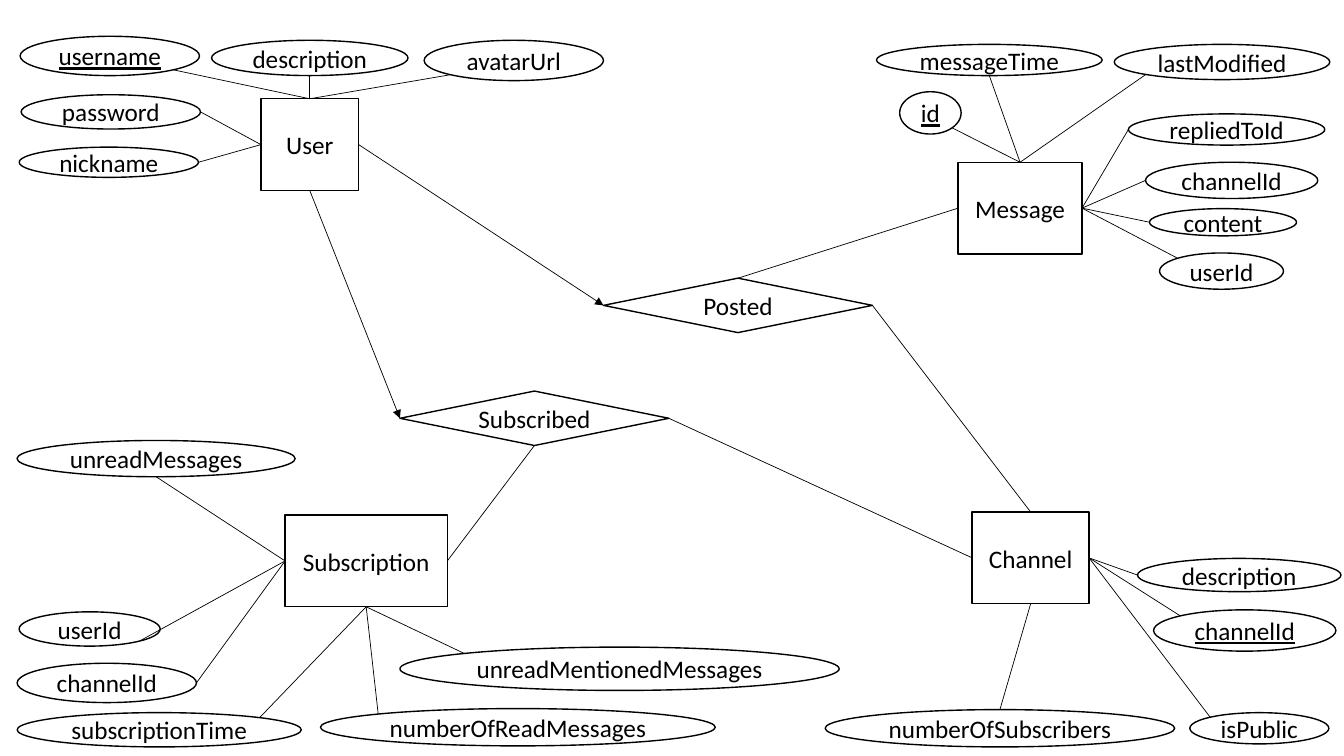
from dataclasses import dataclass

from lxml import etree
from pptx import Presentation
from pptx.dml.color import RGBColor
from pptx.enum.shapes import MSO_CONNECTOR, MSO_SHAPE
from pptx.enum.text import MSO_ANCHOR, PP_ALIGN
from pptx.oxml.ns import qn
from pptx.util import Inches, Pt

RECT, ELLIPSE, DIAMOND = MSO_SHAPE.RECTANGLE, MSO_SHAPE.OVAL, MSO_SHAPE.DIAMOND
STRAIGHT = MSO_CONNECTOR.STRAIGHT
CENTER, MIDDLE = PP_ALIGN.CENTER, MSO_ANCHOR.MIDDLE


@dataclass(frozen=True)
class Theme:
    ink: RGBColor = RGBColor(0, 0, 0)
    paper: RGBColor = RGBColor(255, 255, 255)
    font: str = "Calibri"
    size: int = 18
    outline: float = 1
    link: float = 0.5


THEME = Theme()

# Connection sites in the order the preset shapes number them
ELLIPSE_SITES = ("top", "top left", "left", "bottom left",
                 "bottom", "bottom right", "right", "top right")
FOUR_SITES = ("top", "left", "bottom", "right")
DIAGONAL = 0.5 ** 0.5

# Entity: box, then attributes as (name, side of the entity, site on the
# ellipse, offset and size from the entity's top left corner)
ENTITIES = {
    "User": ((2.59, 0.98, 0.97, 0.91), (
        ("username", "top", "bottom right", (-2.39, -0.62, 1.78, 0.39)),
        ("password", "left", "right", (-2.38, -0.04, 1.78, 0.34)),
        ("nickname", "left", "right", (-2.4, 0.48, 1.78, 0.3)),
        ("description", "top", "bottom", (-0.49, -0.58, 1.95, 0.35)),
        ("avatarUrl", "top", "bottom left", (1.62, -0.58, 1.78, 0.4)),
    )),
    "Channel": ((9.65, 5.08, 1.16, 0.91), (
        ("channelId", "right", "top left", (1.8, 0.97, 1.81, 0.41)),
        ("description", "right", "left", (1.64, 0.46, 2.02, 0.33)),
        ("numberOfSubscribers", "bottom", "top", (-1.46, 1.96, 3.47, 0.37)),
        ("isPublic", "right", "top left", (2.16, 1.99, 1.38, 0.31)),
    )),
    "Subscription": ((2.83, 5.11, 1.61, 0.91), (
        ("userId", "left", "bottom right", (-2.64, 0.96, 1.4, 0.34)),
        ("channelId", "left", "right", (-2.66, 1.47, 1.78, 0.39)),
        ("subscriptionTime", "bottom", "top right", (-2.66, 1.96, 2.82, 0.34)),
        ("numberOfReadMessages", "bottom", "top left", (0.35, 1.92, 3.92, 0.37)),
        ("unreadMessages", "left", "bottom", (-2.66, -0.74, 2.76, 0.36)),
        ("unreadMentionedMessages", "bottom", "top left", (1.14, 1.31, 4.36, 0.43)),
    )),
    "Message": ((9.51, 1.61, 1.23, 0.91), (
        ("id", "top", "bottom right", (-0.58, -0.7, 0.61, 0.42)),
        ("userId", "right", "top left", (2, 0.9, 1.23, 0.36)),
        ("channelId", "right", "left", (1.86, 0, 1.71, 0.36)),
        ("messageTime", "top", "bottom", (-0.81, -1.17, 2.24, 0.31)),
        ("lastModified", "top", "bottom left", (1.55, -1.17, 2.14, 0.35)),
        ("repliedToId", "right", "left", (1.69, -0.48, 1.95, 0.31)),
        ("content", "right", "left", (1.9, 0.46, 1.46, 0.27)),
    )),
}
KEYS = {("User", "username"), ("Channel", "channelId"), ("Message", "id")}

# Relationship: box, then links as (entity, its side, site on the diamond, arrow)
RELATIONSHIPS = {
    "Subscribed": ((3.97, 3.88, 2.67, 0.54), (
        ("User", "bottom", "left", True),
        ("Channel", "left", "right", False),
        ("Subscription", "right", "bottom", False),
    )),
    "Posted": ((5.99, 2.76, 2.67, 0.54), (
        ("User", "right", "left", True),
        ("Channel", "top", "right", False),
        ("Message", "left", "top", False),
    )),
}


def set_text(tf, text, underline=False):
    tf.word_wrap = True
    tf.vertical_anchor = MIDDLE
    p = tf.paragraphs[0]
    p.alignment = CENTER
    r = p.add_run()
    r.text = text
    r.font.name, r.font.size = THEME.font, Pt(THEME.size)
    r.font.color.rgb = THEME.ink
    if underline:
        r.font.underline = True


def add_node(slide, kind, box, text, **text_format):
    sp = slide.shapes.add_shape(kind, *map(Inches, box))
    sp.shadow.inherit = False
    sp.fill.solid()
    sp.fill.fore_color.rgb = THEME.paper
    sp.line.color.rgb = THEME.ink
    sp.line.width = Pt(THEME.outline)
    set_text(sp.text_frame, text, **text_format)
    return sp


def site_point(sp, site):
    """Return the slide position of a named site on a node's outline."""
    reach = DIAGONAL if " " in site else 1
    dx = ("right" in site) - ("left" in site)
    dy = ("bottom" in site) - ("top" in site)
    return (round(sp.left + sp.width / 2 * (1 + dx * reach)),
            round(sp.top + sp.height / 2 * (1 + dy * reach)))


def add_link(slide, start, start_site, end, end_site, arrow=False):
    """Draw a line glued to a site of each node."""
    cx = slide.shapes.add_connector(
        STRAIGHT, *site_point(start, start_site), *site_point(end, end_site))
    cx.line.color.rgb = THEME.ink
    cx.line.width = Pt(THEME.link)
    if arrow:
        etree.SubElement(cx.line._get_or_add_ln(), qn("a:tailEnd"), type="triangle")
    etree.SubElement(cx._element.spPr, qn("a:effectLst"))
    glue = cx._element.find(".//" + qn("p:cNvCxnSpPr"))
    for tag, sp, site in (("a:stCxn", start, start_site), ("a:endCxn", end, end_site)):
        sites = ELLIPSE_SITES if sp.auto_shape_type == ELLIPSE else FOUR_SITES
        etree.SubElement(glue, qn(tag), id=str(sp.shape_id), idx=str(sites.index(site)))


def add_entity(slide, name, box, attributes):
    """Draw an entity with its attributes around it; return its rectangle."""
    entity = add_node(slide, RECT, box, name)
    left, top = box[:2]
    for attribute, side, site, (dx, dy, width, height) in attributes:
        ellipse = add_node(slide, ELLIPSE, (left + dx, top + dy, width, height),
                           attribute, underline=(name, attribute) in KEYS)
        add_link(slide, ellipse, site, entity, side)
    return entity


def add_relationship(slide, name, box, links, entities):
    diamond = add_node(slide, DIAMOND, box, name)
    for entity, side, site, arrow in links:
        add_link(slide, entities[entity], side, diamond, site, arrow)


def main():
    prs = Presentation()
    prs.slide_width, prs.slide_height = Inches(13.34), Inches(7.5)
    slide = prs.slides.add_slide(prs.slide_layouts.get_by_name("Blank"))
    entities = {name: add_entity(slide, name, box, attributes)
                for name, (box, attributes) in ENTITIES.items()}
    for name, (box, links) in RELATIONSHIPS.items():
        add_relationship(slide, name, box, links, entities)
    prs.save("out.pptx")


if __name__ == "__main__":
    main()
